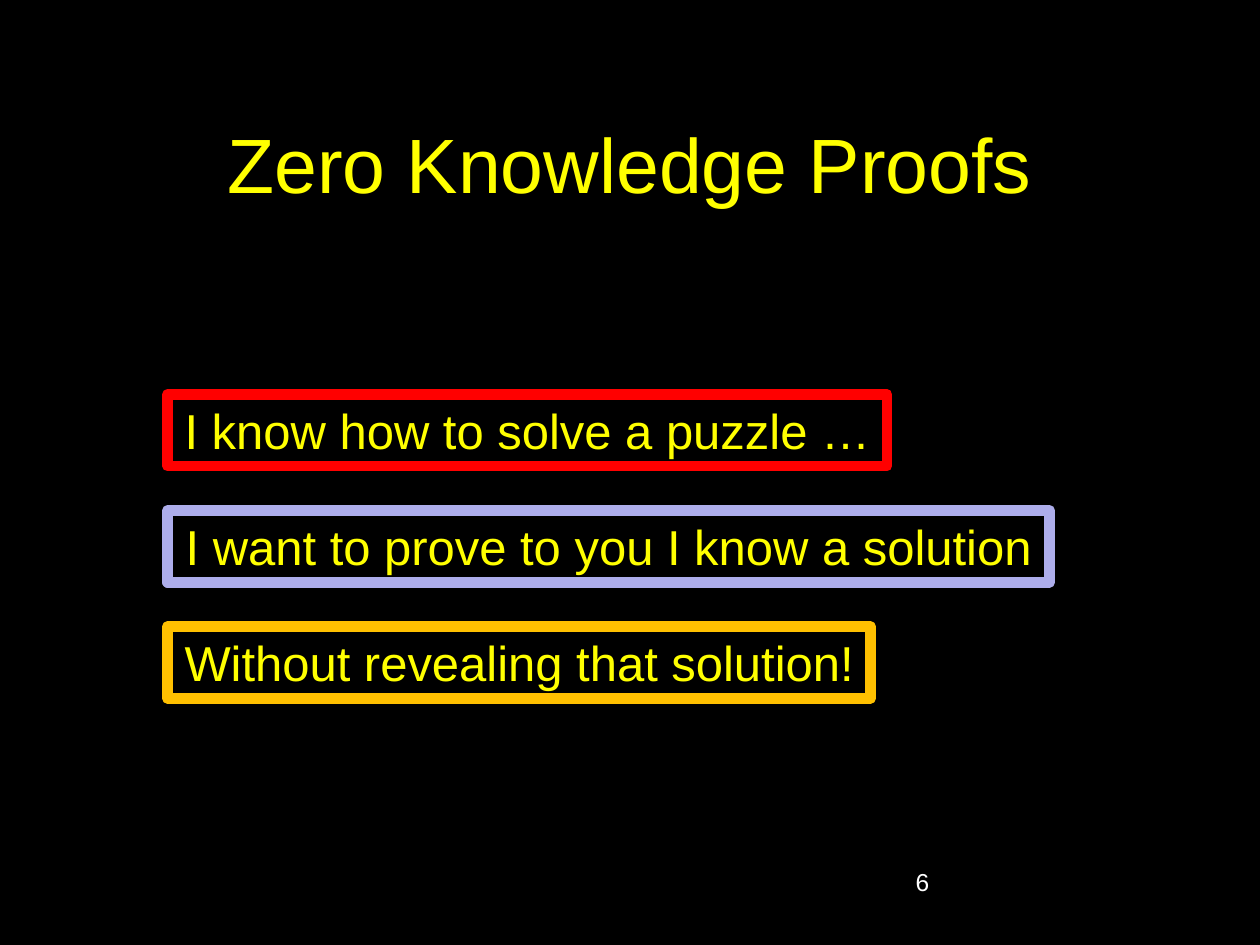
from pptx import Presentation
from pptx.dml.color import RGBColor
from pptx.enum.shapes import MSO_SHAPE as Shape
from pptx.enum.text import MSO_ANCHOR as Anchor, MSO_AUTO_SIZE as AutoSize, PP_ALIGN as Align
from pptx.util import Cm, Pt

TITLE_FORMAT = {"name": "Arial", "size": Pt(44)}
STATEMENT_FORMAT = {"name": "Arial", "size": Pt(28)}
NUMBER_FORMAT = {"name": "Arial", "size": Pt(14)}
STATEMENTS = [
    ("I know how to solve a puzzle …", 14.5, "FF0000"),
    ("I want to prove to you I know a solution", 17.78, "ADADEB"),
    ("Without revealing that solution!", 14.17, "FFC000"),
]
STATEMENT_LEFT, STATEMENT_TOP = 3.38, 7.95
STATEMENT_HEIGHT, STATEMENT_PITCH = 1.45, 2.34


def color(value):
    return RGBColor.from_string(value)


def paint(fill, value):
    fill.solid()
    fill.fore_color.rgb = color(value)


def write(shape, text, font_format, text_color, align, **frame_format):
    frame = shape.text_frame
    for name, value in frame_format.items():
        setattr(frame, name, value)
    paragraph = frame.paragraphs[0]
    paragraph.alignment = align
    run = paragraph.add_run()
    run.text = text
    for name, value in font_format.items():
        setattr(run.font, name, value)
    run.font.color.rgb = color(text_color)


def add_text(slide, box, text, font_format, text_color, align, anchor):
    shape = slide.shapes.add_textbox(*map(Cm, box))
    write(shape, text, font_format, text_color, align,
          word_wrap=True, vertical_anchor=anchor)


def add_statement(slide, row, text, width, border):
    top = STATEMENT_TOP + row * STATEMENT_PITCH
    box = STATEMENT_LEFT, top, width, STATEMENT_HEIGHT
    shape = slide.shapes.add_shape(Shape.RECTANGLE, *map(Cm, box))
    shape.shadow.inherit = False
    paint(shape.fill, "000000")
    shape.line.color.rgb = color(border)
    shape.line.width = Pt(6)
    write(shape, text, STATEMENT_FORMAT, "FFFF00", Align.CENTER,
          word_wrap=False, auto_size=AutoSize.SHAPE_TO_FIT_TEXT,
          vertical_anchor=Anchor.TOP)


def main():
    presentation = Presentation()
    presentation.slide_width = Cm(25.4)
    presentation.slide_height = Cm(19.05)
    slide = presentation.slides.add_slide(presentation.slide_layouts[6])
    paint(slide.background.fill, "000000")
    add_text(slide, (1.9, 1.7, 21.6, 3.18), "Zero Knowledge Proofs",
             TITLE_FORMAT, "FFFF00", Align.CENTER, Anchor.MIDDLE)
    add_text(slide, (18.21, 17.35, 5.28, 1.27), "6",
             NUMBER_FORMAT, "FFFFFF", Align.LEFT, Anchor.TOP)
    for row, statement in enumerate(STATEMENTS):
        add_statement(slide, row, *statement)
    presentation.save("out.pptx")


if __name__ == "__main__":
    main()
